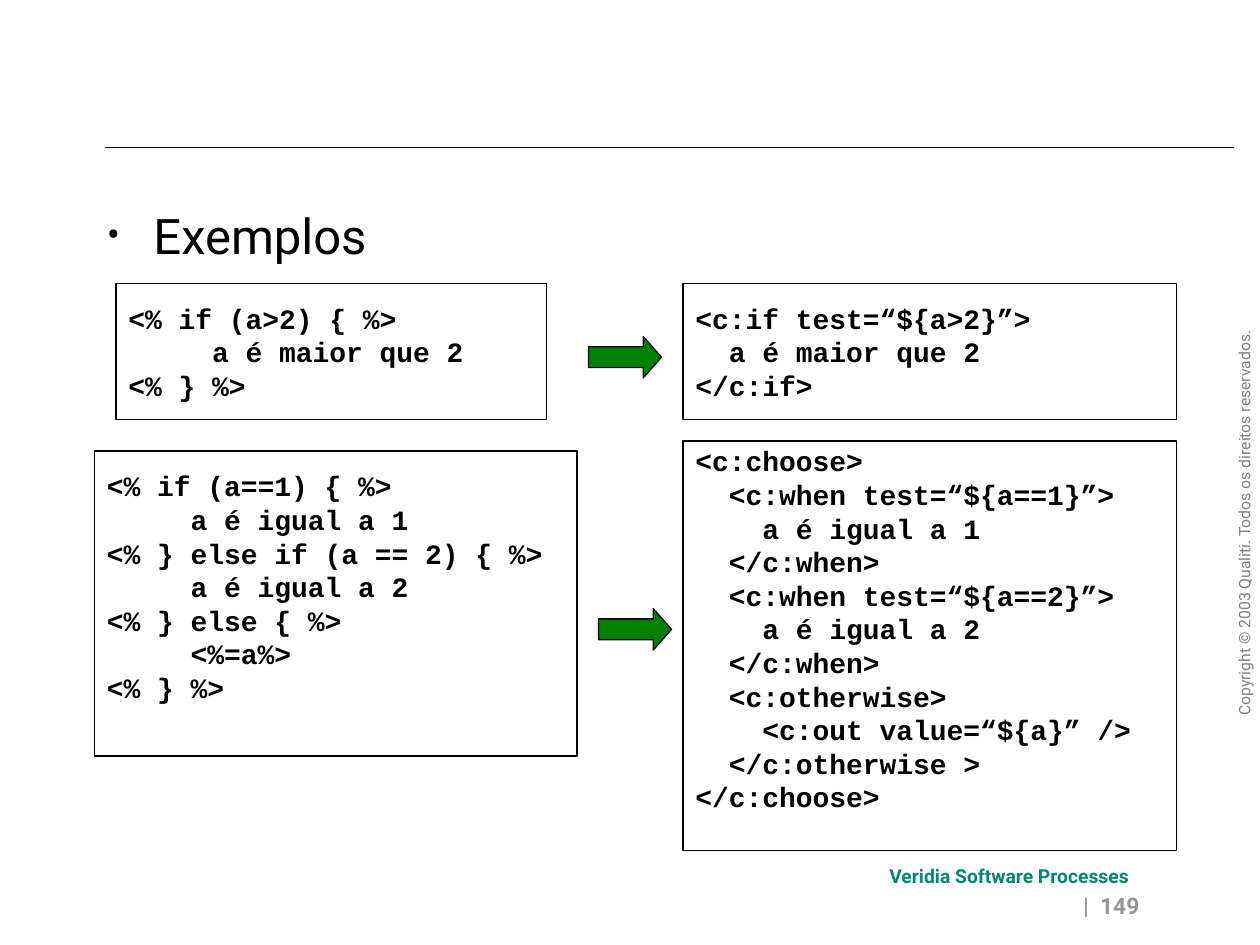
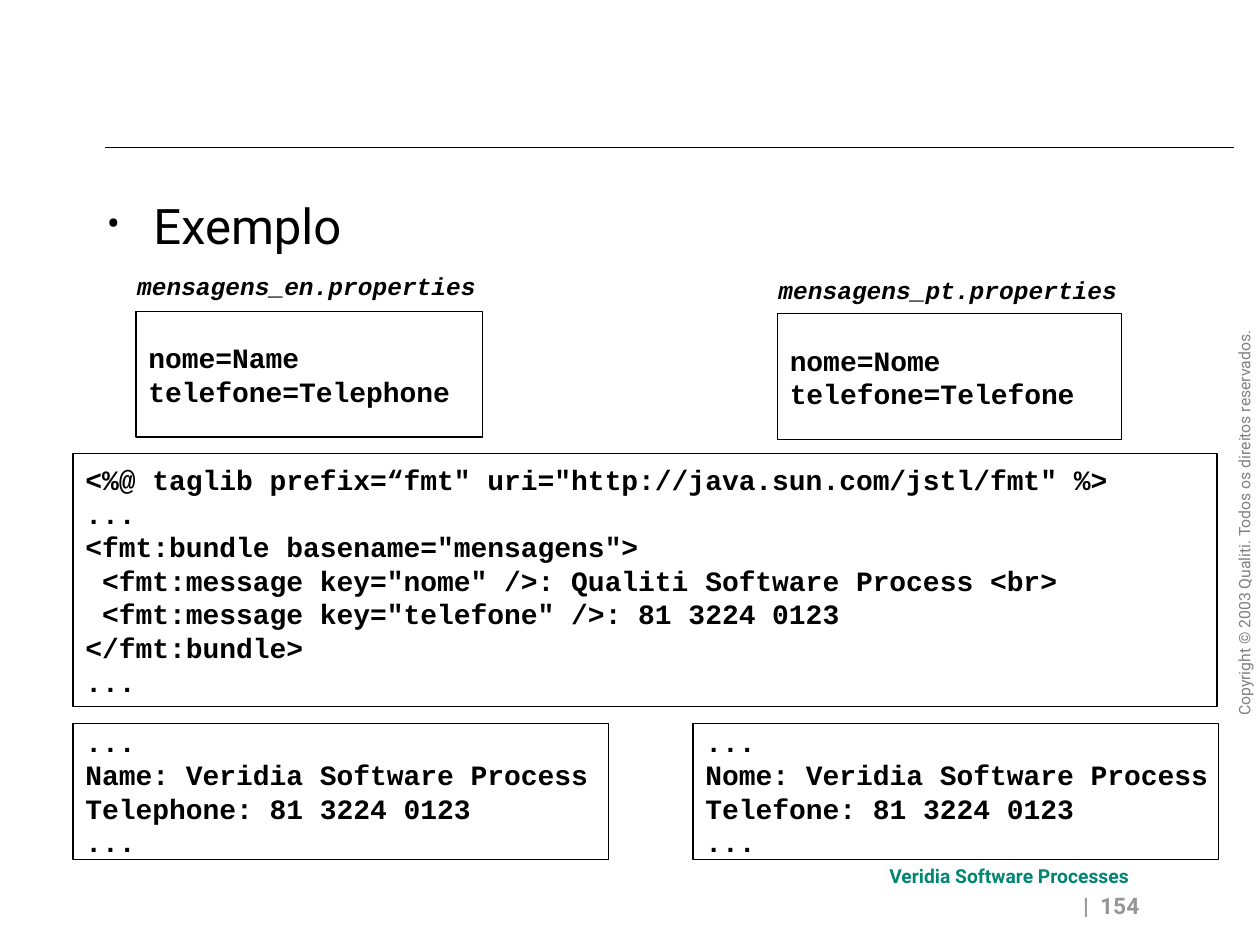
"""Build two slides of JSP tag library examples with code panels."""
from lxml import etree
from pptx import Presentation
from pptx.dml.color import RGBColor
from pptx.enum.shapes import MSO_CONNECTOR, MSO_SHAPE
from pptx.enum.text import MSO_ANCHOR, PP_ALIGN
from pptx.oxml.ns import qn
from pptx.util import Inches, Pt

COLORS = {
    "black": "000000",
    "white": "FFFFFF",
    "arrow": "008000",
    "company": "008673",
    "number": "969696",
    "copyright": "808080",
}
TEXT_FONT = "Roboto"
CODE_FONT = "Courier New"
CODE_LINE = 0.27

slides = [
    {
        "number": 149,
        "bullet": "Exemplos",
        "bullet_top": 1.58,
        "captions": [],
        "panels": [
            (0.92, 2.25, 3.42, 1.08, 0, """<% if (a>2) { %>
     a é maior que 2
<% } %>"""),
            (5.42, 2.25, 3.92, 1.08, 0, """<c:if test=“${a>2}”>
  a é maior que 2
</c:if>"""),
            (0.75, 3.58, 3.83, 2.42, CODE_LINE, """<% if (a==1) { %>
     a é igual a 1
<% } else if (a == 2) { %>
     a é igual a 2
<% } else { %>
     <%=a%>
<% } %>"""),
            (5.42, 3.5, 3.92, 3.25, CODE_LINE, """<c:choose>
  <c:when test=“${a==1}”>
    a é igual a 1
  </c:when>
  <c:when test=“${a==2}”>
    a é igual a 2
  </c:when>
  <c:otherwise>
    <c:out value=“${a}” />
  </c:otherwise >
</c:choose>"""),
        ],
        "arrows": [(4.75, 4.83), (4.67, 2.67)],
    },
    {
        "number": 154,
        "bullet": "Exemplo",
        "bullet_top": 1.5,
        "captions": [
            (0.99, 2.1, "mensagens_en.properties"),
            (6.08, 2.13, "mensagens_pt.properties"),
        ],
        "panels": [
            (0.58, 3.6, 9.08, 2.01, 0, """<%@ taglib prefix=“fmt" uri="http://java.sun.com/jstl/fmt" %>
...
<fmt:bundle basename="mensagens">
 <fmt:message key="nome" />: Qualiti Software Process <br>
 <fmt:message key="telefone" />: 81 3224 0123
</fmt:bundle>
..."""),
            (1.08, 2.47, 2.75, 1, 0, """nome=Name
telefone=Telephone"""),
            (6.17, 2.49, 2.73, 1, 0, """nome=Nome
telefone=Telefone"""),
            (5.5, 5.74, 4.17, 1.08, 0, """...
Nome: Veridia Software Process
Telefone: 81 3224 0123
..."""),
            (0.58, 5.74, 4.25, 1.08, 0, """...
Name: Veridia Software Process
Telephone: 81 3224 0123
..."""),
        ],
        "arrows": [],
    },
]


def add_span(para, text, size, color, font=TEXT_FONT, bold=False, italic=False):
    span = para.add_run()
    span.text = text
    span.font.name = font
    span.font.size = Pt(size)
    span.font.bold = bold
    span.font.italic = italic
    span.font.color.rgb = RGBColor.from_string(COLORS[color])


def add_shape(page, kind, left, top, width, height, fill):
    shape = page.shapes.add_shape(
        kind, Inches(left), Inches(top), Inches(width), Inches(height))
    shape.shadow.inherit = False
    shape.fill.solid()
    shape.fill.fore_color.rgb = RGBColor.from_string(COLORS[fill])
    shape.line.color.rgb = RGBColor.from_string(COLORS["black"])
    shape.line.width = Pt(0.75)
    return shape


deck = Presentation()
deck.slide_width = Inches(10)
deck.slide_height = Inches(7.5)

for content in slides:
    page = deck.slides.add_slide(deck.slide_layouts[6])

    rule = page.shapes.add_connector(
        MSO_CONNECTOR.STRAIGHT, Inches(9.79), Inches(1.17), Inches(0.83), Inches(1.17))
    rule.line.color.rgb = RGBColor.from_string(COLORS["black"])
    rule.line.width = Pt(0.75)
    etree.SubElement(rule._element.spPr, qn("a:effectLst"))

    labels = [
        (8.16, 3.94, 3.43, 0.25, 270, False, PP_ALIGN.LEFT,
         "Copyright © 2003 Qualiti. Todos os direitos reservados.",
         9, "copyright", TEXT_FONT, False, False),
        (6.96, 6.81, 2.24, 0.29, 0, False, PP_ALIGN.LEFT,
         "Veridia Software Processes", 11, "company", TEXT_FONT, True, False),
        (4.31, 7.03, 4.83, 0.33, 0, True, PP_ALIGN.RIGHT,
         f"|  {content['number']}", 13, "number", TEXT_FONT, True, False),
    ]
    for left, top, caption in content["captions"]:
        labels.append((left, top, 2.89, 0.34, 0, False, PP_ALIGN.LEFT,
                       caption, 14, "black", CODE_FONT, True, True))
    for left, top, width, height, turn, wrap, align, *span_style in labels:
        box = page.shapes.add_textbox(
            Inches(left), Inches(top), Inches(width), Inches(height))
        box.rotation = turn
        box.text_frame.word_wrap = wrap
        para = box.text_frame.paragraphs[0]
        para.alignment = align
        add_span(para, *span_style)

    box = page.shapes.add_textbox(
        Inches(0.75), Inches(content["bullet_top"]), Inches(8.5), Inches(5.17))
    box.text_frame.word_wrap = True
    para = box.text_frame.paragraphs[0]
    properties = para._p.get_or_add_pPr()
    properties.set("marL", str(Inches(0.37)))
    properties.set("indent", str(-Inches(0.37)))
    bullet_color = etree.SubElement(properties, qn("a:buClr"))
    etree.SubElement(bullet_color, qn("a:srgbClr"), val=COLORS["black"])
    etree.SubElement(properties, qn("a:buSzPct"), val="80000")
    etree.SubElement(properties, qn("a:buFont"), typeface=TEXT_FONT)
    etree.SubElement(properties, qn("a:buChar"), char="•")
    add_span(para, content["bullet"], 28, "black")

    for left, top, width, height, space_below, code in content["panels"]:
        panel = add_shape(page, MSO_SHAPE.RECTANGLE, left, top, width, height, "white")
        frame = panel.text_frame
        frame.word_wrap = False
        frame.vertical_anchor = MSO_ANCHOR.MIDDLE
        frame.margin_bottom = Inches(0.05 + space_below)
        for index, line in enumerate(code.split("\n")):
            para = frame.paragraphs[0] if index == 0 else frame.add_paragraph()
            para.alignment = PP_ALIGN.LEFT
            add_span(para, line, 16, "black", CODE_FONT, bold=True)

    for left, top in content["arrows"]:
        arrow = add_shape(page, MSO_SHAPE.RIGHT_ARROW, left, top, 0.58, 0.33, "arrow")
        arrow.adjustments[0] = 0.5
        arrow.adjustments[1] = 0.44

deck.save("out.pptx")
